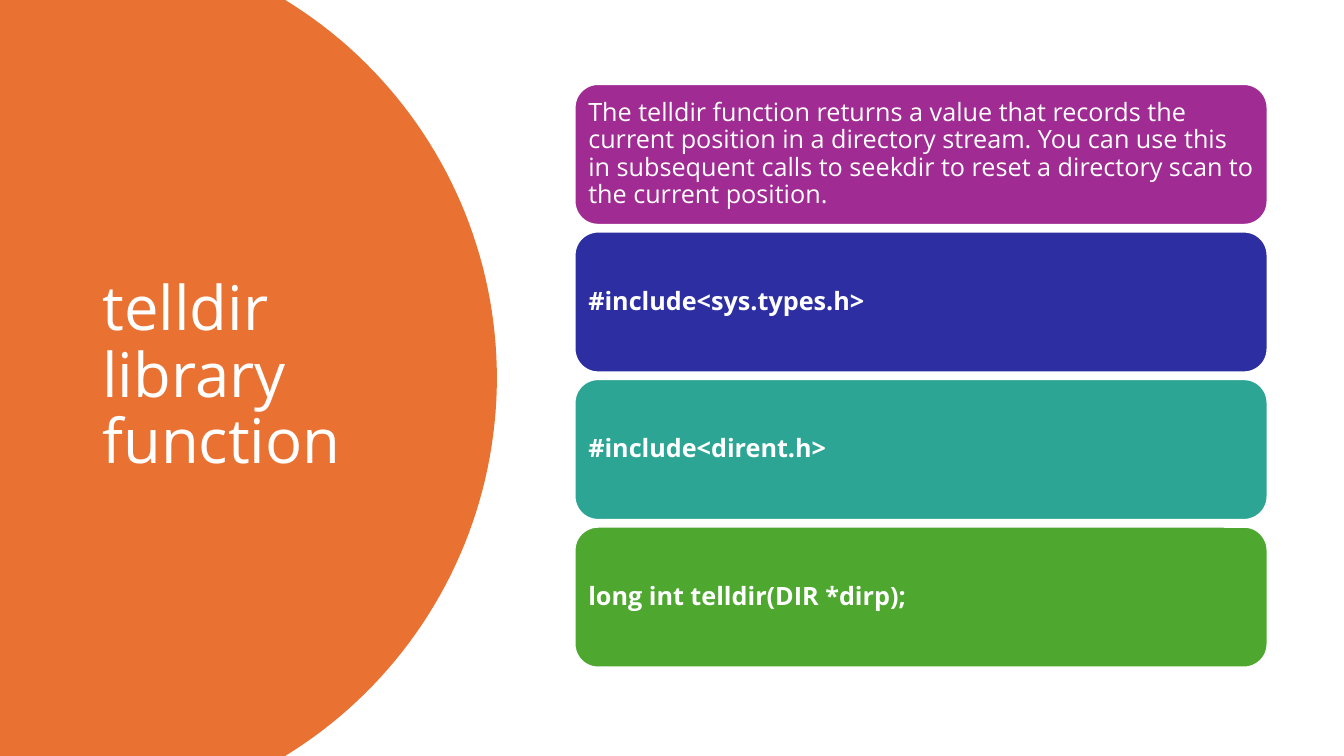
from math import asin, cos, sin

from pptx import Presentation
from pptx.dml.color import RGBColor
from pptx.enum.shapes import MSO_SHAPE
from pptx.enum.text import MSO_ANCHOR, MSO_AUTO_SIZE, PP_ALIGN
from pptx.util import Pt

WHITE = RGBColor(0xFF, 0xFF, 0xFF)
ORANGE = RGBColor(0xE9, 0x71, 0x32)
PURPLE = RGBColor(0xA0, 0x2B, 0x93)
BLUE = RGBColor(0x2C, 0x2E, 0xA2)
TEAL = RGBColor(0x2D, 0xA5, 0x94)
GREEN = RGBColor(0x4E, 0xA7, 0x2E)
FONT = "Open Sans"
PAGE_WIDTH, PAGE_HEIGHT = 960, 540


def style_text(frame, text, size, bold=False):
    frame.text = text
    frame.word_wrap = True
    frame.auto_size = MSO_AUTO_SIZE.NONE
    frame.vertical_anchor = MSO_ANCHOR.MIDDLE
    para = frame.paragraphs[0]
    para.alignment = PP_ALIGN.LEFT
    para.line_spacing = 0.9
    para.font.name = FONT
    para.font.size = Pt(size)
    para.font.bold = bold
    para.font.color.rgb = WHITE


deck = Presentation()
deck.slide_width, deck.slide_height = Pt(PAGE_WIDTH), Pt(PAGE_HEIGHT)
page = deck.slides.add_slide(deck.slide_layouts[5])

# Orange panel: a circle cut off by the left, top and bottom page edges
RADIUS, CENTRE_X, CENTRE_Y = 316.65, 38.3, PAGE_HEIGHT / 2
STEPS = 80
half_angle = asin(CENTRE_Y / RADIUS)
angles = [half_angle * (2 * step / STEPS - 1) for step in range(STEPS + 1)]
arc = [(CENTRE_X + RADIUS * cos(angle), CENTRE_Y + RADIUS * sin(angle)) for angle in angles]
outline = page.shapes.build_freeform(0, 0, scale=Pt(1) / 100)
outline.add_line_segments([(x * 100, y * 100) for x, y in arc + [(0, PAGE_HEIGHT)]])
panel = outline.convert_to_shape()
panel.shadow.inherit = False
panel.fill.solid()
panel.fill.fore_color.rgb = ORANGE
panel.line.fill.background()

# Title, brought in front of the panel
title = page.shapes.title
panel._element.addnext(title._element)
title.left, title.top, title.width, title.height = Pt(66), Pt(50.4), Pt(232.5), Pt(438.5)
style_text(title.text_frame, "telldir library function", 44)

# Stack of rounded cards
CARD_LEFT, CARD_TOP, CARD_WIDTH, CARD_HEIGHT = 410.4, 60, 495, 100.6
CARD_PITCH = 105.4
CARD_INSET = Pt(4.9)
cards = [
    ("The telldir function returns a value that records the current position in a "
     "directory stream. You can use this in subsequent calls to seekdir to reset a "
     "directory scan to the current position.", PURPLE, False),
    ("#include<sys.types.h>", BLUE, True),
    ("#include<dirent.h>", TEAL, True),
    ("long int telldir(DIR *dirp);", GREEN, True),
]
for index, (text, color, bold) in enumerate(cards):
    card = page.shapes.add_shape(
        MSO_SHAPE.ROUNDED_RECTANGLE, Pt(CARD_LEFT), Pt(CARD_TOP + index * CARD_PITCH),
        Pt(CARD_WIDTH), Pt(CARD_HEIGHT))
    card.shadow.inherit = False
    card.fill.solid()
    card.fill.fore_color.rgb = color
    card.line.color.rgb = WHITE
    card.line.width = Pt(1.5)
    frame = card.text_frame
    frame.margin_left = frame.margin_right = CARD_INSET
    frame.margin_top = frame.margin_bottom = CARD_INSET
    style_text(frame, text, 18, bold)

deck.save("out.pptx")
